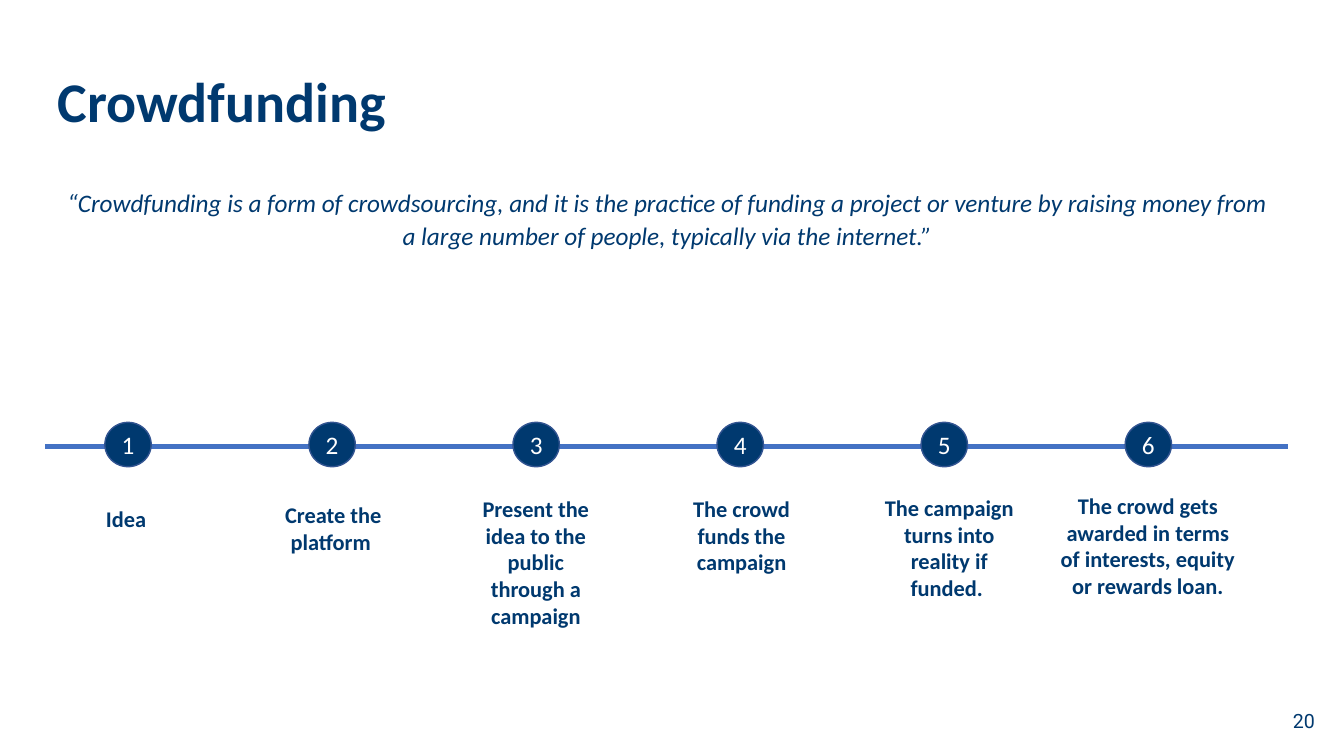
from lxml import etree
from pptx import Presentation
from pptx.dml.color import RGBColor
from pptx.enum import shapes, text
from pptx.oxml import ns
from pptx.util import Inches, Pt

NAVY = RGBColor(0x00, 0x39, 0x6F)
OUTLINE = RGBColor(0x32, 0x54, 0x91)
BLUE = RGBColor(0x44, 0x72, 0xC4)
WHITE = RGBColor(0xFF, 0xFF, 0xFF)

QUOTE = (
    "“Crowdfunding is a form of crowdsourcing, and it is the practice of funding "
    "a project or venture by raising money from a large number of people, "
    "typically via the internet.”"
)
STEPS = [
    ("Idea ", 0.57, 0.53, 1.41, 0.37),
    ("Create the platform ", 2.6, 0.49, 1.41, 0.64),
    ("Present the idea to the public through a campaign", 4.61, 0.43, 1.41, 1.45),
    ("The crowd funds the campaign", 6.65, 0.43, 1.41, 0.91),
    ("The campaign turns into reality if funded. ", 8.58, 0.42, 1.67, 1.18),
    ("The crowd gets awarded in terms of interests, equity or rewards loan.",
     10.42, 0.4, 1.93, 1.45),
]
STEP_PITCH = 2.024
DOT_WIDTH, DOT_HEIGHT = 0.46, 0.44


def write(shape, words, size, align, color=NAVY, name="Calibri", bold=False, italic=False):
    frame = shape.text_frame
    frame.word_wrap = True
    frame.text = words
    paragraph = frame.paragraphs[0]
    paragraph.alignment = align
    font = paragraph.runs[0].font
    font.name, font.size = name, Pt(size)
    font.bold, font.italic = bold, italic
    font.color.rgb = color
    return paragraph


def add_label(slide, box, words, size, align=text.PP_ALIGN.CENTER, **style):
    label = slide.shapes.add_textbox(*map(Inches, box))
    return label, write(label, words, size, align, **style)


def place_title(slide, left, top, width, height):
    title = slide.shapes.title
    title.left, title.top = Inches(left), Inches(top)
    title.width, title.height = Inches(width), Inches(height)
    write(title, "Crowdfunding", 40, text.PP_ALIGN.LEFT, bold=True)
    frame = title.text_frame
    frame.auto_size = text.MSO_AUTO_SIZE.NONE
    frame.vertical_anchor = text.MSO_ANCHOR.MIDDLE
    frame.margin_left = frame.margin_right = frame.margin_bottom = 0
    frame.margin_top = Inches(0.01)


def add_quote(slide, *box):
    label, paragraph = add_label(slide, box, QUOTE, 18, italic=True)
    paragraph.line_spacing = 1.07
    paragraph.space_after = Pt(8)


def add_step_dot(slide, number, left, top):
    dot = slide.shapes.add_shape(
        shapes.MSO_SHAPE.OVAL, Inches(left), Inches(top),
        Inches(DOT_WIDTH), Inches(DOT_HEIGHT))
    dot.shadow.inherit = False
    dot.fill.solid()
    dot.fill.fore_color.rgb = NAVY
    dot.line.color.rgb = OUTLINE
    dot.line.width = Pt(1)
    dot.text_frame.vertical_anchor = text.MSO_ANCHOR.MIDDLE
    write(dot, str(number), 18, text.PP_ALIGN.CENTER, color=WHITE)


def add_timeline(slide, left, axis, width):
    line = slide.shapes.add_connector(
        shapes.MSO_CONNECTOR.STRAIGHT,
        Inches(left), Inches(axis), Inches(left + width), Inches(axis))
    line.line.color.rgb = BLUE
    line.line.width = Pt(3)
    etree.SubElement(line._element.spPr, ns.qn("a:effectLst"))
    for index, (words, label_left, drop, label_width, label_height) in enumerate(STEPS):
        add_step_dot(slide, index + 1, left + 0.59 + index * STEP_PITCH, axis - 0.24)
        label_box = label_left, axis + drop, label_width, label_height
        add_label(slide, label_box, words, 16, bold=True)


def add_page_number(slide, *box):
    label, paragraph = add_label(
        slide, box, "20", 14, align=text.PP_ALIGN.RIGHT, name="Roboto")
    label.text_frame.vertical_anchor = text.MSO_ANCHOR.MIDDLE


def main():
    presentation = Presentation()
    presentation.slide_width = Inches(13.33)
    presentation.slide_height = Inches(7.5)
    slide = presentation.slides.add_slide(presentation.slide_layouts[5])
    place_title(slide, 0.57, 0.64, 12.76, 0.69)
    add_quote(slide, 0.56, 1.79, 12.12, 0.73)
    add_timeline(slide, 0.45, 4.43, 12.32)
    add_page_number(slide, 10.14, 6.95, 3, 0.4)
    presentation.save("out.pptx")


if __name__ == "__main__":
    main()
